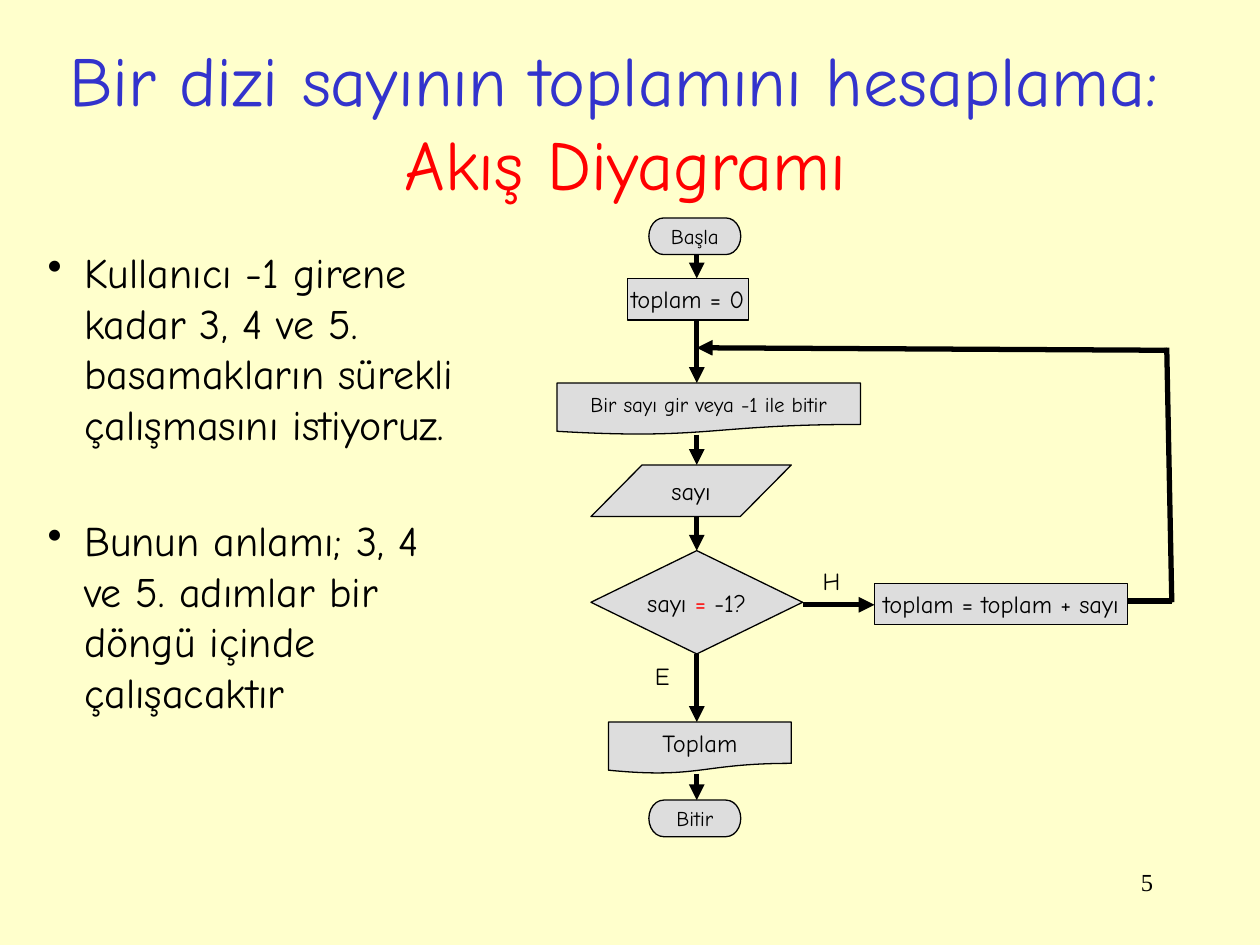
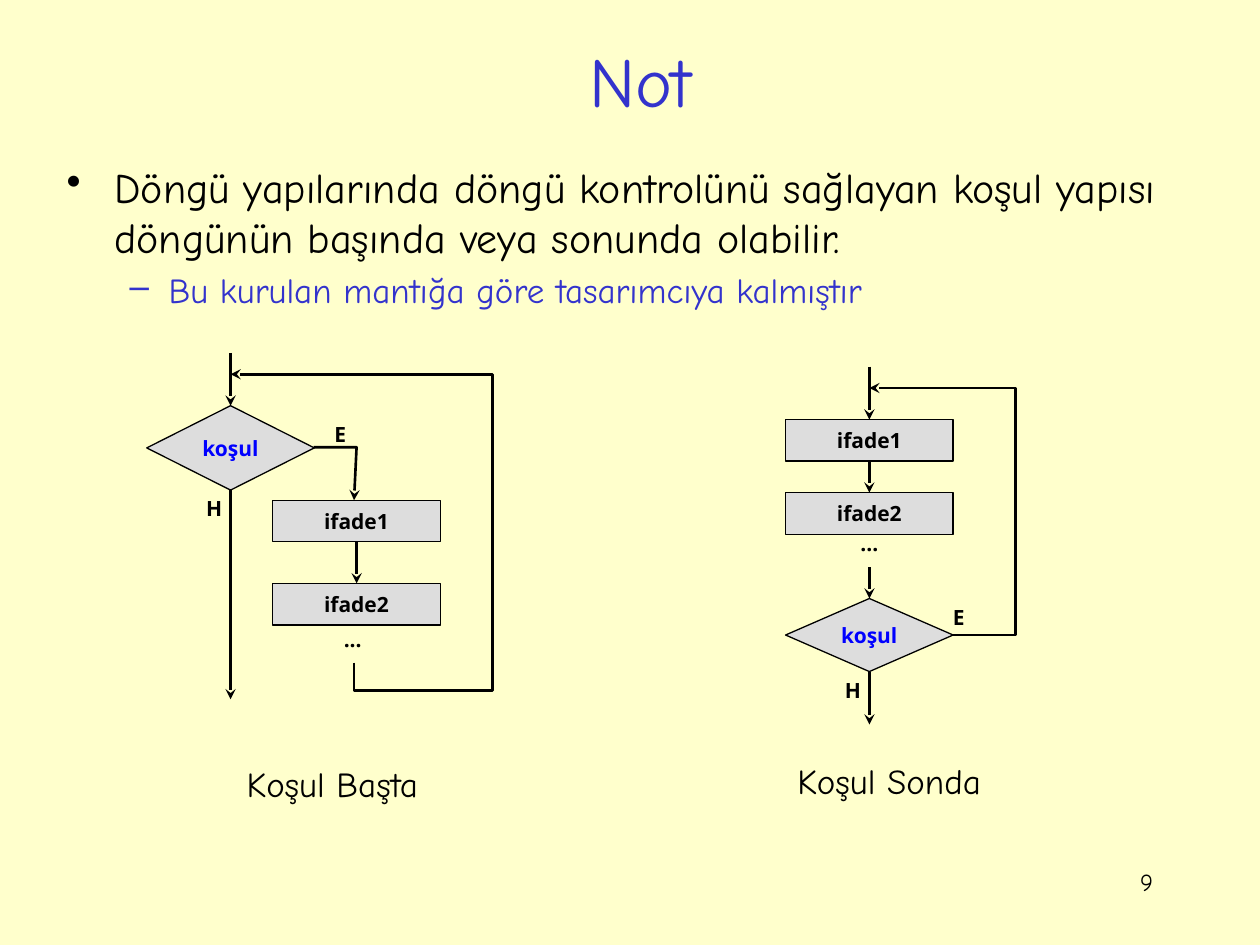
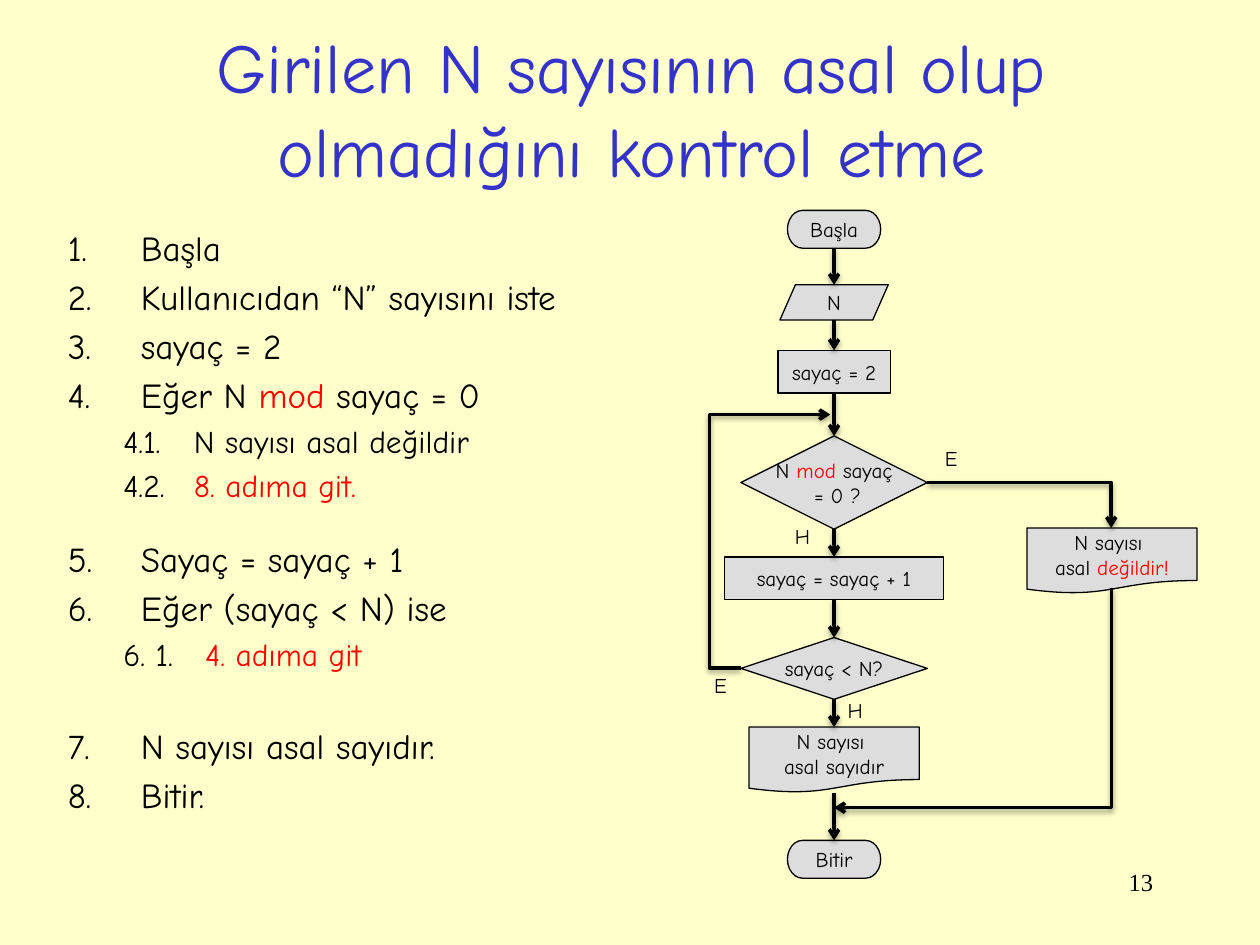
from lxml import etree
from pptx import Presentation
from pptx.dml.color import RGBColor
from pptx.enum.shapes import MSO_CONNECTOR, MSO_SHAPE
from pptx.enum.text import MSO_ANCHOR, PP_ALIGN
from pptx.oxml.ns import qn
from pptx.util import Inches, Pt

# Shared colours, fonts and shape kinds
CREAM = RGBColor(0xFF, 0xFF, 0xCC)
GREY = RGBColor(0xDD, 0xDD, 0xDD)
BLACK = RGBColor(0x00, 0x00, 0x00)
INDIGO = RGBColor(0x33, 0x33, 0xCC)
BLUE = RGBColor(0x00, 0x00, 0xFF)
RED = RGBColor(0xFF, 0x00, 0x00)

COMIC = "Comic Neue"
TITLE = {"name": COMIC, "size": Pt(40)}
BODY = {"name": COMIC, "size": Pt(24)}
LIST = {"name": COMIC, "size": Pt(20)}
SUBLIST = {"name": COMIC, "size": Pt(18)}
FLOW = {"name": COMIC, "size": Pt(14)}
SMALL = {"name": COMIC, "size": Pt(12)}
CODE = {"name": "Open Sans", "size": Pt(12), "bold": True}
SERIF = {"name": "Times New Roman", "size": Pt(14)}

RECT = MSO_SHAPE.RECTANGLE
PROCESS = MSO_SHAPE.FLOWCHART_PROCESS
DECISION = MSO_SHAPE.FLOWCHART_DECISION
DOCUMENT = MSO_SHAPE.FLOWCHART_DOCUMENT
TERMINATOR = MSO_SHAPE.FLOWCHART_TERMINATOR
INPUT = MSO_SHAPE.PARALLELOGRAM
STRAIGHT = MSO_CONNECTOR.STRAIGHT
LEFT, CENTER, RIGHT = PP_ALIGN.LEFT, PP_ALIGN.CENTER, PP_ALIGN.RIGHT
TOP, MIDDLE = MSO_ANCHOR.TOP, MSO_ANCHOR.MIDDLE


def add_text(s, box, paras, fmt, kind=None, align=CENTER, anchor=MIDDLE):
    """Write paragraphs into a flowchart shape, or a text box if kind is None.

    A paragraph is a list of runs, or a dict with runs and list settings;
    a run is a string or a (string, colour) pair.
    """
    box = [Inches(v) for v in box]
    if kind is None:
        sp = s.shapes.add_textbox(*box)
    else:
        sp = s.shapes.add_shape(kind, *box)
        sp.shadow.inherit = False
        sp.fill.solid()
        sp.fill.fore_color.rgb = GREY
        sp.line.color.rgb = BLACK
        sp.line.width = Pt(0.75)
    tf = sp.text_frame
    tf.word_wrap = kind is None
    tf.vertical_anchor = anchor
    for i, para in enumerate(paras):
        if isinstance(para, list):
            para = {"runs": para}
        p = tf.paragraphs[0] if i == 0 else tf.add_paragraph()
        p.alignment = align
        p.level = para.get("level", 0)
        p.space_before = Pt(para.get("before", 0))
        font = para.get("fmt", fmt)
        for run in para["runs"]:
            text, color = (run, BLACK) if isinstance(run, str) else run
            r = p.add_run()
            r.text = text
            for name, value in font.items():
                setattr(r.font, name, value)
            r.font.color.rgb = color
        if "indent" in para:
            margin, hang = para["indent"]
            pPr = p._p.get_or_add_pPr()
            pPr.set("marL", str(Inches(margin)))
            pPr.set("indent", str(Inches(-hang)))
            if "bullet" in para:
                tag, attr, value = para["bullet"]
                etree.SubElement(pPr, qn(tag)).set(attr, value)
    return sp


def add_line(s, points, width, arrow=None, shadow=False):
    """Draw a straight connector, or an open outline if the line bends."""
    points = [(Inches(x), Inches(y)) for x, y in points]
    if len(points) == 2:
        line = s.shapes.add_connector(STRAIGHT, *points[0], *points[1])
    else:
        outline = s.shapes.build_freeform(*points[0], scale=1.0)
        outline.add_line_segments(points[1:], close=False)
        line = outline.convert_to_shape()
        line.fill.background()
    line.line.color.rgb = BLACK
    line.line.width = Pt(width)
    spPr = line._element.spPr
    if arrow:
        etree.SubElement(spPr.find(qn("a:ln")), qn("a:tailEnd")).set("type", arrow)
    effects = etree.SubElement(spPr, qn("a:effectLst"))
    if shadow:
        outer = etree.SubElement(effects, qn("a:outerShdw"), blurRad=str(Pt(3.1)),
                                 dist=str(Pt(1.6)), dir="5400000", rotWithShape="0")
        color = etree.SubElement(outer, qn("a:srgbClr"), val="000000")
        etree.SubElement(color, qn("a:alpha"), val="38000")


prs = Presentation()
prs.slide_width, prs.slide_height = Inches(10), Inches(7.5)

# Background, title and page number of every slide
PAGES = [
    ((0.19, 0.26, 9.55, 1.39),
     [[("Bir dizi sayının toplamını hesaplama: ", INDIGO)], [("Akış Diyagramı", RED)]],
     "5", SERIF),
    ((0.72, 0.33, 8.73, 0.61), [[("Not", INDIGO)]], "9", FLOW),
    ((0.37, 0.26, 9.28, 1.18),
     [[("Girilen N sayısının asal olup olmadığını kontrol etme", INDIGO)]],
     "13", SERIF),
]
slides = []
for box, title, number, number_fmt in PAGES:
    s = prs.slides.add_slide(prs.slide_layouts[6])
    s.background.fill.solid()
    s.background.fill.fore_color.rgb = CREAM
    add_text(s, box, title, TITLE)
    add_text(s, (7.17, 6.83, 2.08, 0.5), [[number]], number_fmt, align=RIGHT, anchor=TOP)
    slides.append(s)
sum_slide, note_slide, prime_slide = slides

DOT = ("a:buChar", "char", "•")
DASH = ("a:buChar", "char", "–")
NUMBER = ("a:buAutoNum", "type", "arabicPeriod")

# Slide 1: explanation
s = sum_slide
add_text(s, (0.28, 1.91, 3.53, 4.73), [
    {"runs": ["Kullanıcı -1 girene kadar 3, 4 ve 5. basamakların sürekli çalışmasını istiyoruz."],
     "indent": (0.29, 0.29), "bullet": DOT},
    {"runs": ["Bunun anlamı; 3, 4 ve 5. adımlar bir döngü içinde çalışacaktır"],
     "indent": (0.29, 0.29), "bullet": DOT, "before": 38},
], BODY, align=LEFT, anchor=TOP)

# Slide 1: flowchart column, each step joined to the next
AXIS = 5.53
steps = [
    (TERMINATOR, (5.15, 1.73, 0.73, 0.29), ["Başla"], SMALL),
    (RECT, (4.98, 2.21, 0.96, 0.33), ["toplam = 0"], FLOW),
    (DOCUMENT, (4.42, 3.04, 2.41, 0.41), ["Bir sayı gir veya -1 ile bitir"], SMALL),
    (INPUT, (4.69, 3.69, 1.59, 0.41), ["sayı"], FLOW),
    (DECISION, (4.69, 4.37, 1.68, 0.82), ["sayı ", ("= ", RED), "-1?"], FLOW),
    (DOCUMENT, (4.83, 5.73, 1.45, 0.41), ["Toplam"], FLOW),
    (TERMINATOR, (5.15, 6.35, 0.73, 0.29), ["Bitir"], SMALL),
]
for kind, box, runs, fmt in steps:
    sp = add_text(s, box, [runs], fmt, kind)
    if kind == INPUT:
        sp.adjustments[0] = 0.99
for (_, (_, y, _, h), _, _), (_, (_, next_y, _, _), _, _) in zip(steps, steps[1:]):
    add_line(s, [(AXIS, y + h), (AXIS, next_y)], 3, "triangle")

# Slide 1: loop back to the input
add_text(s, (6.94, 4.63, 2.01, 0.33), [["toplam = toplam + sayı"]], FLOW, RECT)
add_line(s, [(6.37, 4.8), (6.94, 4.8)], 3, "triangle")
add_line(s, [(8.95, 4.77), (9.3, 4.77)], 3)
add_line(s, [(9.3, 4.78), (9.26, 2.76)], 3)
add_line(s, [(9.26, 2.78), (AXIS, 2.76)], 3, "triangle")
for label, x, y in [("E", 5.1, 5.2), ("H", 6.43, 4.44)]:
    add_text(s, (x, y, 0.34, 0.34), [[label]], FLOW, align=LEFT, anchor=TOP)

# Slide 2: explanation
s = note_slide
add_text(s, (0.43, 1.23, 9.2, 1.33), [
    {"runs": ["Döngü yapılarında döngü kontrolünü sağlayan koşul yapısı "
              "döngünün başında veya sonunda olabilir."],
     "indent": (0.38, 0.38), "bullet": DOT},
    {"runs": [("Bu kurulan mantığa göre tasarımcıya kalmıştır", INDIGO)], "fmt": LIST,
     "level": 1, "indent": (0.81, 0.31), "bullet": DASH, "before": 4},
], BODY, align=LEFT, anchor=TOP)

# Slide 2: boxes centred on the axes of the two loops
TEST, BRANCH, END = 1.83, 2.83, 6.9
BOX_W, BOX_H = 1.33, 0.33
for kind, axis, y, h, run in [
    (DECISION, TEST, 3.22, 0.67, ("koşul", BLUE)),
    (PROCESS, BRANCH, 3.97, BOX_H, "ifade1"),
    (PROCESS, BRANCH, 4.63, BOX_H, "ifade2"),
    (PROCESS, END, 3.33, BOX_H, "ifade1"),
    (PROCESS, END, 3.91, BOX_H, "ifade2"),
    (DECISION, END, 4.75, 0.58, ("koşul", BLUE)),
]:
    add_text(s, (axis - BOX_W / 2, y, BOX_W, h), [[run]], CODE, kind)

# Slide 2: arrows, straight ones first
for axis, start, end in [
    (TEST, 2.8, 3.22), (TEST, 3.88, 5.55), (BRANCH, 4.3, 4.63),
    (END, 2.91, 3.33), (END, 3.66, 3.91), (END, 4.5, 4.75), (END, 5.33, 5.75),
]:
    add_line(s, [(axis, start), (axis, end)], 1.5, "stealth")
for points in [
    [(2.81, 5.26), (2.81, 5.48), (3.91, 5.48), (3.91, 2.97), (TEST, 2.97)],
    [(2.49, 3.55), (BRANCH, 3.55), (2.81, 3.97)],
    [(7.56, 5.04), (8.06, 5.04), (8.06, 3.08), (END, 3.08)],
]:
    add_line(s, points, 1.5, "stealth")

# Slide 2: branch labels and captions
for label, x, y in [("E", 2.7, 3.3), ("H", 1.7, 3.88), ("...", 2.8, 4.92),
                    ("E", 7.61, 4.75), ("H", 6.77, 5.33), ("...", 6.9, 4.16)]:
    add_text(s, (x - 0.25, y, 0.5, 0.3), [[label]], CODE, anchor=TOP)
for caption, x, y in [("Koşul Başta", 1.86, 6), ("Koşul Sonda", 6.23, 5.98)]:
    add_text(s, (x, y, 1.94, 0.5), [[caption]], LIST, align=LEFT, anchor=TOP)

# Slide 3: algorithm
s = prime_slide
STEP = {"indent": (0.58, 0.58), "bullet": NUMBER, "before": 4}
SUBSTEP = {"fmt": SUBLIST, "level": 1, "indent": (1, 0.56), "before": 3.6}
add_text(s, (0.44, 1.75, 5.14, 5.18), [
    {**STEP, "runs": ["Başla"]},
    {**STEP, "runs": ["Kullanıcıdan “N” sayısını iste"]},
    {**STEP, "runs": ["sayaç = 2"]},
    {**STEP, "runs": ["Eğer N ", ("mod", RED), " sayaç = 0"]},
    {**SUBSTEP, "runs": ["4.1.\tN sayısı asal değildir"]},
    {**SUBSTEP, "runs": ["4.2.\t", ("8. adıma git.", RED)]},
    {**STEP, "runs": ["Sayaç = sayaç + 1"], "before": 19},
    {**STEP, "runs": ["Eğer (sayaç < N) ise"]},
    {**SUBSTEP, "runs": ["6. 1.\t", ("4. adıma git", RED)], "indent": (1.09, 0.65)},
    {**STEP, "runs": ["N sayısı asal sayıdır."], "before": 30},
    {**STEP, "runs": ["Bitir."]},
], LIST, align=LEFT, anchor=TOP)

# Slide 3: flowchart column, centred on one axis
AXIS = 6.62
steps = [
    (TERMINATOR, 1.67, 0.74, 0.3, [["Başla"]]),
    (INPUT, 2.26, 0.86, 0.28, [["N"]]),
    (RECT, 2.78, 0.89, 0.34, [["sayaç = 2"]]),
    (DECISION, 3.46, 1.48, 0.74, [["N ", ("mod", RED), " sayaç"], [" = 0 ?"]]),
    (RECT, 4.42, 1.74, 0.34, [["sayaç = sayaç + 1"]]),
    (DECISION, 5.06, 1.48, 0.49, [["sayaç < N?"]]),
    (DOCUMENT, 5.77, 1.35, 0.52, [["N sayısı "], ["asal sayıdır"]]),
    (TERMINATOR, 6.67, 0.74, 0.3, [["Bitir"]]),
]
for kind, y, w, h, paras in steps:
    sp = add_text(s, (AXIS - w / 2, y, w, h), paras, SMALL, kind)
    if kind == INPUT:
        sp.adjustments[0] = 0.44
for (_, y, _, h, _), (_, next_y, _, _, _) in zip(steps, steps[1:]):
    add_line(s, [(AXIS, y + h), (AXIS, next_y)], 2, "arrow", shadow=True)

# Slide 3: side branch and loop
SIDE = 8.82
add_text(s, (8.15, 4.19, 1.35, 0.52), [["N sayısı "], ["asal ", ("değildir!", RED)]],
         SMALL, DOCUMENT)
for points in [
    [(7.36, 3.83), (SIDE, 3.83), (SIDE, 4.19)],
    [(SIDE, 4.67), (SIDE, 6.41), (AXIS, 6.41)],
    [(5.88, 5.3), (5.63, 5.3), (5.63, 3.29), (6.59, 3.29)],
]:
    add_line(s, points, 2, "arrow", shadow=True)
for label, x, y in [("H", 6.21, 4.11), ("E", 7.4, 3.49), ("E", 5.57, 5.29), ("H", 6.63, 5.49)]:
    add_text(s, (x, y, 0.33, 0.3), [[label]], SMALL, align=LEFT, anchor=TOP)

prs.save("out.pptx")
